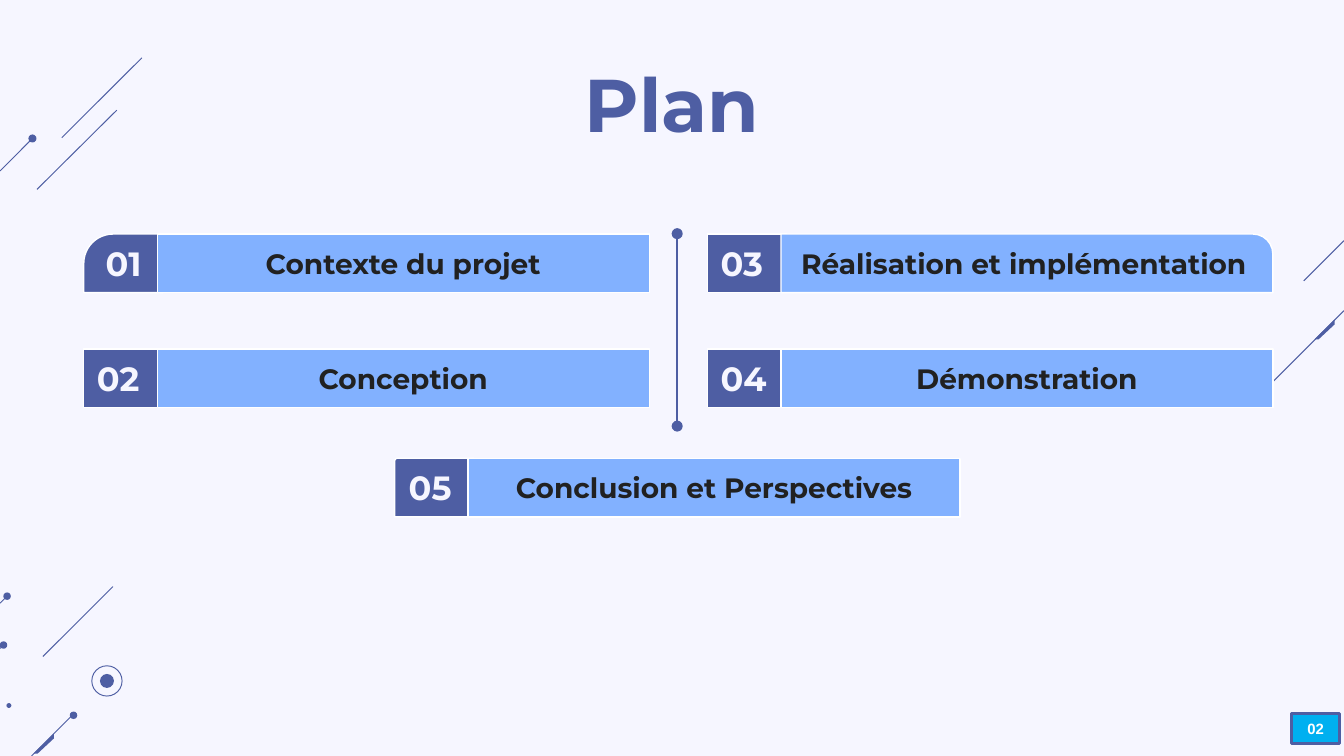
from typing import NamedTuple

from lxml.etree import SubElement
from pptx import Presentation
from pptx.dml.color import RGBColor
from pptx.enum.shapes import MSO_CONNECTOR, MSO_SHAPE
from pptx.enum.text import MSO_ANCHOR as Anchor, PP_ALIGN as Align
from pptx.oxml.ns import qn
from pptx.util import Pt

INDIGO, SKY, PAPER, WHITE = "4E5EA3", "82B1FF", "F6F6FF", "FFFFFF"
INSET = 7.2
NUMBER_FONT = {"name": "Montserrat", "size": Pt(18), "bold": True}
TOPIC_FONT = {"name": "Montserrat", "size": Pt(15), "bold": True}
TITLE_FONT = {"name": "Montserrat", "size": Pt(40), "bold": True}
PAGE_FONT = {"name": "Arial", "size": Pt(8), "bold": True}


class Chapter(NamedTuple):
    number: str
    topic: str
    left: float
    top: float
    left_round: float = 0
    right_round: float = 0


class Stroke(NamedTuple):
    x1: float
    y1: float
    x2: float
    y2: float


class Dot(NamedTuple):
    x: float
    y: float
    diameter: float


LEFT_COLUMN, RIGHT_COLUMN = 44.9, 379
CHAPTERS = [
    Chapter("01", "Contexte du projet", LEFT_COLUMN, 125.4, left_round=0.5),
    Chapter("02", "Conception", LEFT_COLUMN, 187),
    Chapter("05", "Conclusion et Perspectives", 211.4, 245.5, left_round=0.05),
    Chapter("03", "Réalisation et implémentation", RIGHT_COLUMN, 125.4, right_round=0.34),
    Chapter("04", "Démonstration", RIGHT_COLUMN, 187),
]
STROKES = [
    # Top left
    Stroke(33.1, 73.8, 76, 31), Stroke(19.8, 101.5, 62.6, 59), Stroke(0, 91.6, 17.4, 74.2),
    # Bottom left
    Stroke(0, 323.2, 3.8, 319.4), Stroke(0, 347.4, 1.8, 345.6),
    Stroke(16.9, 405, 38.5, 383.4), Stroke(23, 351.7, 60.5, 314.3),
    # Right
    Stroke(673.6, 212.8, 720, 166.4), Stroke(698.4, 150.5, 720, 128.9),
]
DOTS = [
    Dot(17.4, 74.2, 4.3), Dot(3.8, 319.4, 4), Dot(1.9, 345.6, 4),
    Dot(39.4, 383.2, 4), Dot(4.8, 378, 2.6), Dot(57.3, 364.8, 7.5),
]
RING = Dot(57.3, 364.8, 16.2)
BARS = [(18, 393.1), (704.2, 171.2)]


def rgb(value: str) -> RGBColor:
    return RGBColor.from_string(value)


def paint(shape, fill: str | None, line: str | None = None, width: float = 0.75) -> None:
    shape.shadow.inherit = False
    if fill:
        shape.fill.solid()
        shape.fill.fore_color.rgb = rgb(fill)
    else:
        shape.fill.background()
    if line:
        shape.line.color.rgb = rgb(line)
        shape.line.width = Pt(width)
    else:
        shape.line.fill.background()


def write(shape, text: str, font: dict, color: str, align=Align.CENTER,
          anchor=Anchor.MIDDLE, inset_y: float = INSET) -> None:
    frame = shape.text_frame
    layout = {"word_wrap": True, "vertical_anchor": anchor,
              "margin_left": Pt(INSET), "margin_right": Pt(INSET),
              "margin_top": Pt(inset_y), "margin_bottom": Pt(inset_y)}
    for key, value in layout.items():
        setattr(frame, key, value)
    paragraph = frame.paragraphs[0]
    paragraph.alignment = align
    run = paragraph.add_run()
    run.text = text
    for key, value in font.items():
        setattr(run.font, key, value)
    run.font.color.rgb = rgb(color)


def draw_box(slide, preset, left: float, top: float, width: float, height: float,
             corner: float | None = None):
    box = slide.shapes.add_shape(preset, Pt(left), Pt(top), Pt(width), Pt(height))
    if corner is not None:
        box.adjustments[0] = corner
    return box


def draw_dot(slide, dot: Dot, fill: str | None = INDIGO, line: str | None = None) -> None:
    radius = dot.diameter / 2
    circle = draw_box(slide, MSO_SHAPE.OVAL, dot.x - radius, dot.y - radius,
                      dot.diameter, dot.diameter)
    paint(circle, fill, line, 0.5)


def draw_stroke(slide, stroke: Stroke, width: float = 0.5):
    line = slide.shapes.add_connector(MSO_CONNECTOR.STRAIGHT, *map(Pt, stroke))
    line.line.color.rgb = rgb(INDIGO)
    line.line.width = Pt(width)
    SubElement(line._element.spPr, qn("a:effectLst"))
    return line


def draw_bar(slide, left: float, top: float) -> None:
    builder = slide.shapes.build_freeform(Pt(left + 10.8), Pt(top))
    corners = [(0, 10.6), (2.2, 10.6), (10.8, 2.6)]
    builder.add_line_segments([(Pt(left + x), Pt(top + y)) for x, y in corners])
    paint(builder.convert_to_shape(), INDIGO)


def draw_chapter(slide, chapter: Chapter) -> None:
    number = draw_box(slide, MSO_SHAPE.ROUND_1_RECTANGLE,
                      chapter.left, chapter.top, 42.5, 31.4, chapter.left_round)
    number._element.spPr.find(qn("a:xfrm")).set("flipH", "1")
    paint(number, INDIGO, WHITE)
    write(number, chapter.number, NUMBER_FONT, PAPER, Align.LEFT)

    topic = draw_box(slide, MSO_SHAPE.ROUND_1_RECTANGLE,
                     chapter.left + 39.4, chapter.top, 263.5, 31.4, chapter.right_round)
    paint(topic, SKY, WHITE)
    write(topic, chapter.topic, TOPIC_FONT, "212121")


def main() -> None:
    deck = Presentation()
    deck.slide_width, deck.slide_height = Pt(720), Pt(405)
    slide = deck.slides.add_slide(deck.slide_layouts[6])
    slide.background.fill.solid()
    slide.background.fill.fore_color.rgb = rgb(PAPER)

    # Corner decorations
    for stroke in STROKES:
        draw_stroke(slide, stroke)
    for dot in DOTS:
        draw_dot(slide, dot)
    draw_dot(slide, RING, None, INDIGO)
    for left, top in BARS:
        draw_bar(slide, left, top)

    # Title
    title = slide.shapes.add_textbox(Pt(304.6), Pt(31), Pt(110.9), Pt(45.4))
    write(title, "Plan", TITLE_FONT, INDIGO, anchor=Anchor.TOP, inset_y=0)

    # Chapters
    for chapter in CHAPTERS:
        draw_chapter(slide, chapter)

    # Divider between the columns
    divider = draw_stroke(slide, Stroke(362.8, 125.2, 362.8, 228.3), 0.75)
    outline = divider._element.spPr.find(qn("a:ln"))
    for end in ("a:headEnd", "a:tailEnd"):
        SubElement(outline, qn(end), type="oval")

    # Page number
    page = draw_box(slide, MSO_SHAPE.SNIP_1_RECTANGLE, 691.9, 382.3, 25.9, 16.2, 0)
    paint(page, "00B0F0", INDIGO, 1.5)
    write(page, "02", PAGE_FONT, WHITE)

    deck.save("out.pptx")


if __name__ == "__main__":
    main()
